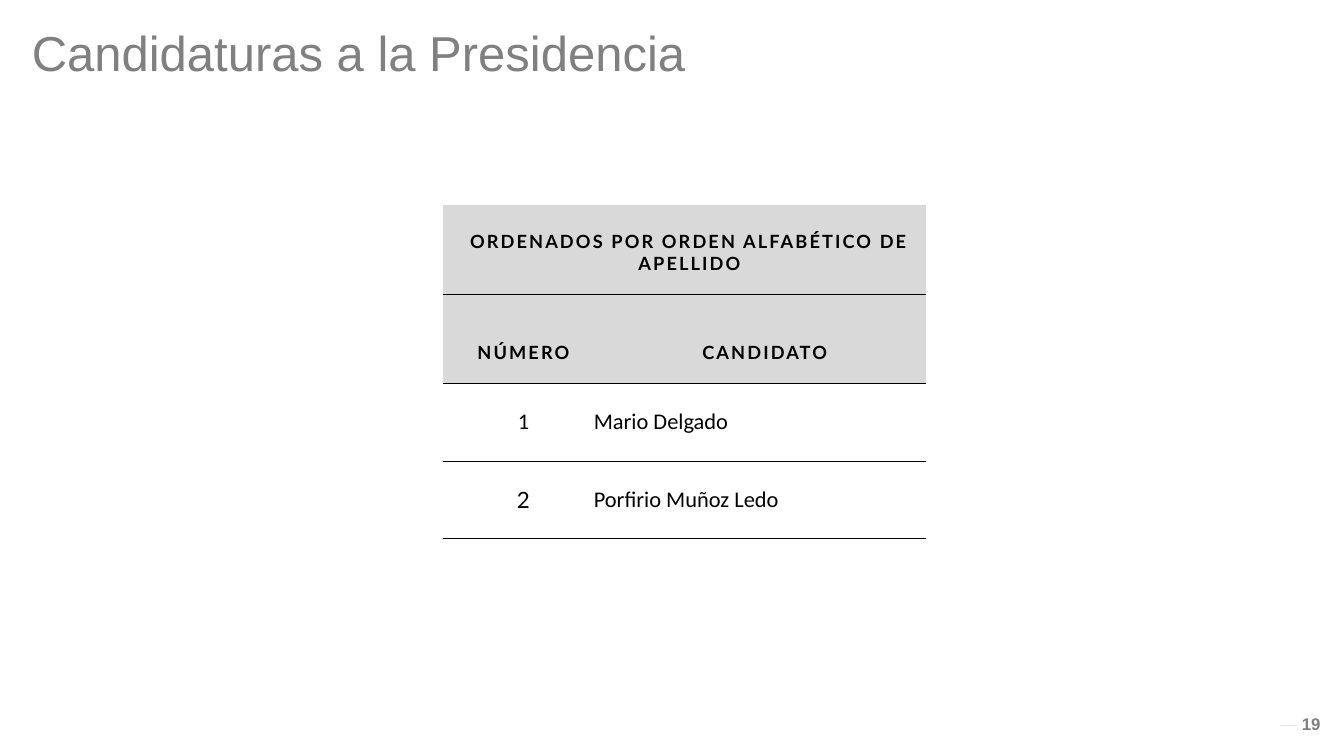
import pptx
import pptx.dml.color
import pptx.enum.shapes
import pptx.enum.text
import pptx.oxml
import pptx.oxml.ns
import pptx.util

Cm, Pt = pptx.util.Cm, pptx.util.Pt
ALIGN, ANCHOR = pptx.enum.text.PP_ALIGN, pptx.enum.text.MSO_ANCHOR
NAMESPACE = pptx.oxml.ns.nsdecls("a")

COLUMN_WIDTHS = (7.59, 16.73)
ROW_HEIGHTS = (4.5, 4.5, 3.91, 3.91)
HEADERS = (
    ("ORDENADOS POR ORDEN ALFABÉTICO DE APELLIDO", ""),
    ("NÚMERO", "CANDIDATO"),
)
CANDIDATES = (("1", "Mario Delgado"), ("2", "Porfirio Muñoz Ledo"))


def colour(hex_string):
    return pptx.dml.color.RGBColor.from_string(hex_string)


def style_font(font, name, size, hex_string, bold=False):
    font.name = name
    font.size = Pt(size)
    font.bold = bold
    font.color.rgb = colour(hex_string)


def set_insets(target, left, top, right, bottom):
    """Set the margins of a text frame or table cell, in centimetres."""
    target.margin_left, target.margin_top = Cm(left), Cm(top)
    target.margin_right, target.margin_bottom = Cm(right), Cm(bottom)


def add_borders(cell, top, bottom):
    """Draw the top and bottom rules, each a (colour, points) pair, and no sides."""
    properties = cell._tc.get_or_add_tcPr()
    for side in ("L", "R"):
        properties.append(pptx.oxml.parse_xml(
            f'<a:ln{side} {NAMESPACE} w="0"><a:noFill/></a:ln{side}>'))
    for side, (hex_string, points) in (("T", top), ("B", bottom)):
        properties.append(pptx.oxml.parse_xml(
            f'<a:ln{side} {NAMESPACE} w="{Pt(points)}"><a:solidFill>'
            f'<a:srgbClr val="{hex_string}"/></a:solidFill></a:ln{side}>'))


def fill_cell(cell, text, font_name, size, align, header=False):
    para = cell.text_frame.paragraphs[0]
    para.alignment = align
    if text:
        span = para.add_run()
        span.text = text
        if header:
            span.font._element.set("spc", "300")
    style_font(para.font, font_name, size, "000000", header)
    if header:
        cell.fill.solid()
        cell.fill.fore_color.rgb = colour("D9D9D9")
        cell.vertical_anchor = ANCHOR.BOTTOM
        set_insets(cell, 0.5, 0, 0, 1)
    else:
        cell.fill.background()
        cell.vertical_anchor = ANCHOR.MIDDLE


def add_title(page, left, top, width, height):
    title = page.shapes.title
    title.left, title.top, title.width, title.height = map(Cm, (left, top, width, height))
    frame = title.text_frame
    frame.text = "Candidaturas a la Presidencia"
    frame.word_wrap = True
    frame.auto_size = pptx.enum.text.MSO_AUTO_SIZE.NONE
    frame.vertical_anchor = ANCHOR.TOP
    set_insets(frame, 0, 0.25, 0.5, 0.25)
    para = frame.paragraphs[0]
    para.alignment = ALIGN.LEFT
    para.line_spacing = 0.9
    style_font(para.font, "Arial", 70, "808080")


def add_candidate_table(page, left, top):
    rows = HEADERS + CANDIDATES
    table = page.shapes.add_table(
        len(rows), len(COLUMN_WIDTHS), Cm(left), Cm(top),
        Cm(sum(COLUMN_WIDTHS)), Cm(sum(ROW_HEIGHTS))).table
    table.first_row = table.horz_banding = False
    for column, width in zip(table.columns, COLUMN_WIDTHS):
        column.width = Cm(width)
    for row, height in zip(table.rows, ROW_HEIGHTS):
        row.height = Cm(height)

    rule = ("000000", 0.5)
    for index, row in enumerate(table.rows):
        for cell in row.cells:
            add_borders(cell, rule if index else ("FFFFFF", 1), rule)
    table.cell(0, 0).merge(table.cell(0, 1))

    for index, texts in enumerate(HEADERS):
        for column, text in enumerate(texts):
            fill_cell(table.cell(index, column), text, "Lato", 26, ALIGN.CENTER, True)
    number_fonts = ("Calibri", "Lato")
    for index, (number, name) in enumerate(CANDIDATES):
        number_cell, name_cell = table.rows[len(HEADERS) + index].cells
        fill_cell(number_cell, number, number_fonts[index], 32, ALIGN.CENTER)
        set_insets(number_cell, 0.5, 0.25, 0, 0.25)
        fill_cell(name_cell, name, "Calibri", 32, ALIGN.LEFT)
        set_insets(name_cell, 0, 0, 0, 0)


def add_page_number(page, left, top, width, height):
    """Place the number in the box, with a faint dash on its left."""
    dash_y = Cm(top + 0.79)
    dash = page.shapes.add_connector(
        pptx.enum.shapes.MSO_CONNECTOR.STRAIGHT,
        Cm(left), dash_y, Cm(left - 0.84), dash_y)
    dash.line.width = Pt(1)
    dash.line.color.rgb = colour("404040")
    properties = dash._element.spPr
    shade = properties.find(".//" + pptx.oxml.ns.qn("a:srgbClr"))
    shade.append(pptx.oxml.parse_xml(f'<a:alpha {NAMESPACE} val="20000"/>'))
    properties.append(pptx.oxml.parse_xml(f"<a:effectLst {NAMESPACE}/>"))

    box = page.shapes.add_textbox(Cm(left), Cm(top), Cm(width), Cm(height))
    frame = box.text_frame
    frame.text = "19"
    frame.word_wrap = True
    frame.vertical_anchor = ANCHOR.MIDDLE
    style_font(frame.paragraphs[0].font, "Arial", 24, "808080", True)


def main():
    deck = pptx.Presentation()
    deck.slide_width, deck.slide_height = Cm(67.72), Cm(38.1)
    page = deck.slides.add_slide(deck.slide_layouts.get_by_name("Title Only"))
    add_candidate_table(page, 22.33, 10.31)
    add_title(page, 1.6, 1.22, 51.44, 2.67)
    add_page_number(page, 65.35, 35.79, 1.65, 1.37)
    deck.save("out.pptx")


if __name__ == "__main__":
    main()
